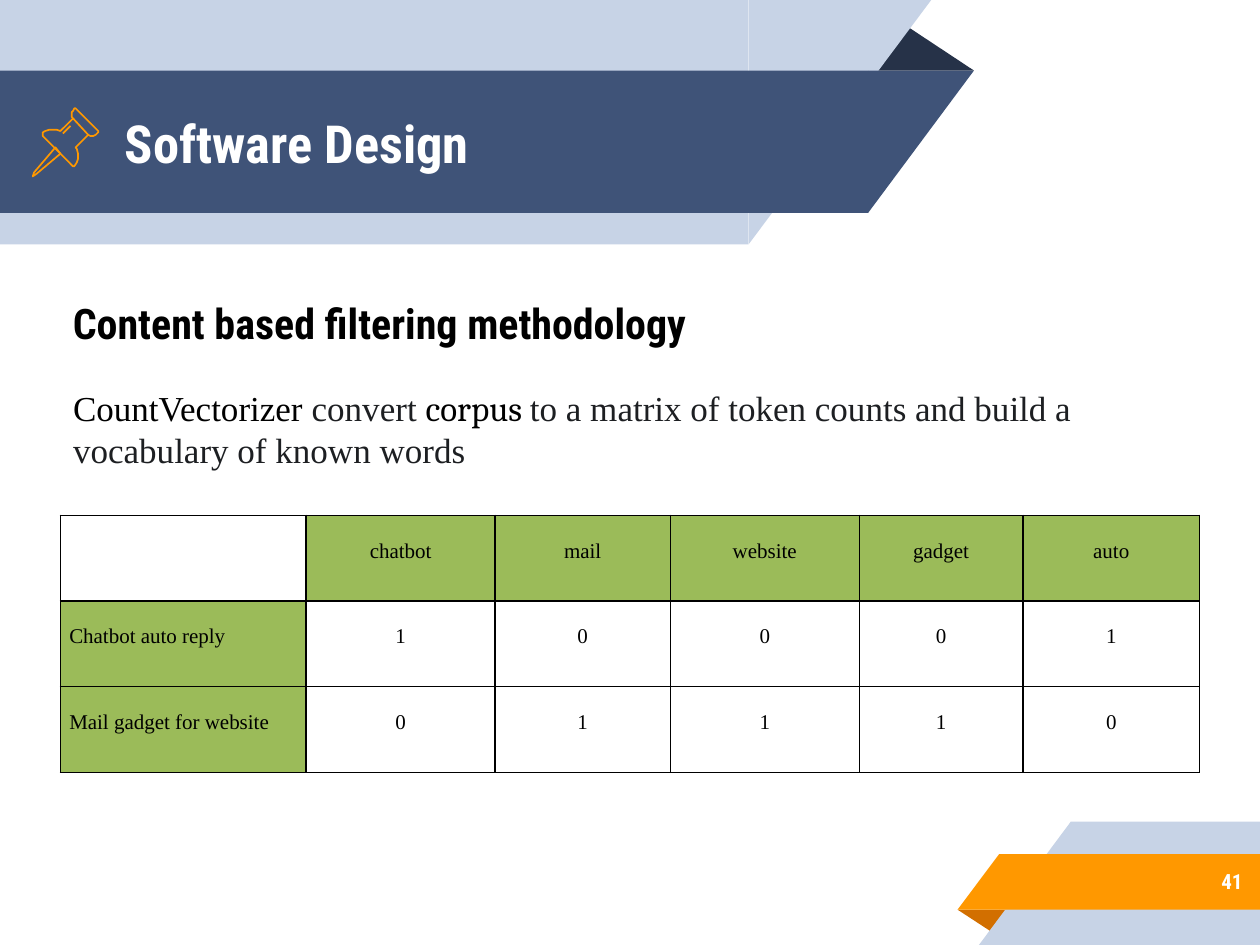
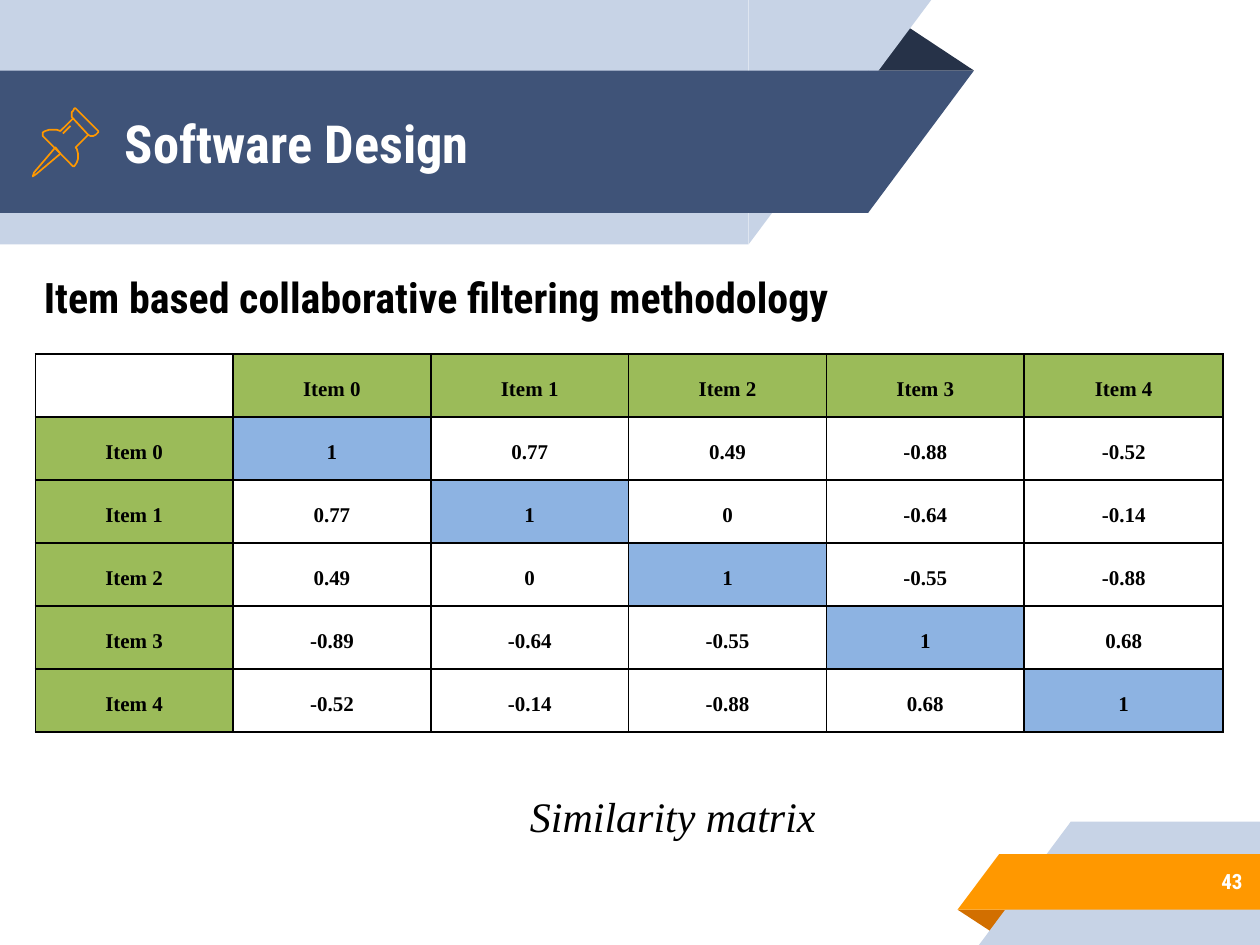
"""Build two software design slides on recommendation methods."""
from dataclasses import dataclass
from typing import NamedTuple

from lxml import etree
from pptx import Presentation
from pptx import util as u
from pptx.dml.color import RGBColor
from pptx.enum import shapes, text
from pptx.oxml import ns

CENTER, LEFT, RIGHT = text.PP_ALIGN.CENTER, text.PP_ALIGN.LEFT, text.PP_ALIGN.RIGHT


@dataclass(frozen=True)
class Theme:
    white: str = "FFFFFF"
    ink: str = "000000"
    soft_ink: str = "1D1F22"
    pale: str = "C7D3E6"
    navy: str = "3F5378"
    navy_fold: str = "263248"
    orange: str = "FF9800"
    orange_fold: str = "D26F00"
    green: str = "9BBB59"
    blue: str = "8DB3E2"
    heading_font: str = "Roboto Condensed"
    body_font: str = "Times New Roman"
    accent_font: str = "Cambria"
    title_size: int = 30
    heading_size: int = 24
    body_size: int = 20
    small_size: int = 12
    pin_line: float = 0.96
    border: float = 1


THEME = Theme()


class Box(NamedTuple):
    left: float
    top: float
    width: float
    height: float

    def emu(self) -> list:
        return [u.Inches(value) for value in self]


class Style(NamedTuple):
    size: int
    font: str
    color: str = THEME.ink
    bold: bool = False
    italic: bool = False
    align: text.PP_ALIGN = LEFT
    spacing: float = 1.0


class Piece(NamedTuple):
    kind: str
    box: Box
    color: str
    turned: bool = False
    flipped: bool = False


class Stroke(NamedTuple):
    points: tuple
    closed: bool = False


class Grid(NamedTuple):
    left: float
    top: float
    widths: tuple
    row_height: float
    rows: list
    style: Style
    label_align: text.PP_ALIGN
    diagonal: bool = False


TITLE = Style(THEME.title_size, THEME.heading_font, THEME.white, bold=True)
HEADING = Style(THEME.heading_size, THEME.heading_font, bold=True, spacing=1.58)
PAGE = Style(THEME.small_size, THEME.heading_font, THEME.white, bold=True, align=RIGHT)
CAPTION = Style(THEME.heading_size, THEME.body_font, italic=True, align=CENTER, spacing=1.5)
COUNTS = Style(THEME.small_size, THEME.body_font, align=CENTER, spacing=1.5)
SCORES = COUNTS._replace(bold=True)

KINDS = {
    "fold": shapes.MSO_SHAPE.ISOSCELES_TRIANGLE,
    "bar": shapes.MSO_SHAPE.RECTANGLE,
    "slant": shapes.MSO_SHAPE.RIGHT_TRIANGLE,
}
RIBBONS = (
    Piece("fold", Box(6.88, 0.18, 0.85, 0.38), THEME.navy_fold),
    Piece("bar", Box(0, 0, 5.94, 1.94), THEME.pale, True, True),
    Piece("slant", Box(5.94, 0, 1.45, 1.94), THEME.pale, True, True),
    Piece("bar", Box(0, 0.56, 6.89, 1.13), THEME.navy, True, True),
    Piece("slant", Box(6.89, 0.56, 0.84, 1.13), THEME.navy, True, True),
    Piece("fold", Box(7.6, 7.22, 0.43, 0.19), THEME.orange_fold, turned=True),
    Piece("bar", Box(8.5, 6.52, 1.5, 0.98), THEME.pale, flipped=True),
    Piece("slant", Box(7.77, 6.52, 0.73, 0.98), THEME.pale, flipped=True),
    Piece("bar", Box(7.93, 6.78, 2.08, 0.44), THEME.orange, flipped=True),
    Piece("slant", Box(7.6, 6.78, 0.33, 0.44), THEME.orange, flipped=True),
)
PIN = (
    Stroke(((0.44, 1.17), (0.27, 1.37), (0.26, 1.4), (0.29, 1.38), (0.48, 1.22)), True),
    Stroke(((0.58, 0.94), (0.7, 1.07), (0.72, 1.08), (0.74, 1.08), (0.76, 1.07),
            (0.78, 1.05), (0.78, 1.04), (0.77, 1.03), (0.61, 0.87), (0.6, 0.86),
            (0.59, 0.86), (0.58, 0.88), (0.57, 0.89), (0.57, 0.93)), True),
    Stroke(((0.58, 0.94), (0.48, 1.04), (0.45, 1.03), (0.39, 1.03), (0.36, 1.04),
            (0.34, 1.05), (0.34, 1.08), (0.57, 1.31), (0.58, 1.32), (0.59, 1.32),
            (0.61, 1.29), (0.62, 1.26), (0.62, 1.22), (0.61, 1.18), (0.6, 1.17),
            (0.7, 1.07))),
    Stroke(((0.5, 1.06), (0.56, 1))),
)

ITEMS = [f"Item {number}" for number in range(5)]
SIMILARITIES = [
    ["1", "0.77", "0.49", "-0.88", "-0.52"],
    ["0.77", "1", "0", "-0.64", "-0.14"],
    ["0.49", "0", "1", "-0.55", "-0.88"],
    ["-0.89", "-0.64", "-0.55", "1", "0.68"],
    ["-0.52", "-0.14", "-0.88", "0.68", "1"],
]
TOKEN_COUNTS = Grid(0.48, 4.09, (1.95, 1.5, 1.39, 1.5, 1.3, 1.4), 0.68, [
    ["", "chatbot", "mail", "website", "gadget", "auto"],
    ["Chatbot auto reply", "1", "0", "0", "0", "1"],
    ["Mail gadget for website", "0", "1", "1", "1", "0"],
], COUNTS, LEFT)
SIMILARITY_MATRIX = Grid(
    0.28, 2.81, (1.57,) * 5 + (1.58,), 0.5,
    [["", *ITEMS]] + [[item, *scores] for item, scores in zip(ITEMS, SIMILARITIES)],
    SCORES, CENTER, diagonal=True)
VECTORIZER = (
    ("CountVectorizer ", THEME.body_font, THEME.ink),
    ("convert ", THEME.body_font, THEME.soft_ink),
    ("corpus ", THEME.accent_font, THEME.ink),
    ("to a matrix of token counts and build a vocabulary of known words",
     THEME.body_font, THEME.soft_ink),
)


def rgb(color: str) -> RGBColor:
    return RGBColor.from_string(color)


def style_paragraph(paragraph, style: Style) -> None:
    paragraph.alignment = style.align
    paragraph.line_spacing = style.spacing
    font = paragraph.font
    font.size, font.name = u.Pt(style.size), style.font
    font.bold, font.italic = style.bold, style.italic
    font.color.rgb = rgb(style.color)


def prepare_frame(holder, anchor=text.MSO_ANCHOR.MIDDLE):
    frame = holder.text_frame
    frame.word_wrap = True
    frame.auto_size = text.MSO_AUTO_SIZE.NONE
    frame.vertical_anchor = anchor
    frame.margin_left = frame.margin_right = u.Inches(0.1)
    frame.margin_top = frame.margin_bottom = u.Inches(0.1)
    return frame


def place(slide, placeholder, box: Box) -> None:
    placeholder.left, placeholder.top, placeholder.width, placeholder.height = box.emu()
    slide.shapes._spTree.append(placeholder._element)


def add_text(slide, box: Box, words: str, style: Style) -> None:
    frame = prepare_frame(slide.shapes.add_textbox(*box.emu()))
    frame.text = words
    style_paragraph(frame.paragraphs[0], style)


def add_ribbon(slide, piece: Piece) -> None:
    ribbon = slide.shapes.add_shape(KINDS[piece.kind], *piece.box.emu())
    ribbon.shadow.inherit = False
    ribbon.fill.solid()
    ribbon.fill.fore_color.rgb = rgb(piece.color)
    ribbon.line.fill.background()
    if piece.kind == "fold":
        ribbon.adjustments[0] = 0.324
    if piece.turned:
        ribbon.rotation = 180
    if piece.flipped:
        ribbon._element.spPr.find(ns.qn("a:xfrm")).set("flipH", "1")


def add_pin_stroke(slide, stroke: Stroke) -> None:
    start, *rest = [(u.Inches(x), u.Inches(y)) for x, y in stroke.points]
    builder = slide.shapes.build_freeform(*start)
    builder.add_line_segments(rest, close=stroke.closed)
    outline = builder.convert_to_shape()
    outline.shadow.inherit = False
    outline.fill.background()
    outline.line.color.rgb = rgb(THEME.orange)
    outline.line.width = u.Pt(THEME.pin_line)


def add_borders(cell) -> None:
    properties = cell._tc.get_or_add_tcPr()
    for position, side in enumerate(("lnL", "lnR", "lnT", "lnB")):
        edge = etree.Element(ns.qn(f"a:{side}"), w=str(u.Pt(THEME.border)))
        fill = etree.SubElement(edge, ns.qn("a:solidFill"))
        etree.SubElement(fill, ns.qn("a:srgbClr"), val=THEME.ink)
        properties.insert(position, edge)


def add_grid(slide, grid: Grid) -> None:
    box = Box(grid.left, grid.top, sum(grid.widths), grid.row_height * len(grid.rows))
    table = slide.shapes.add_table(len(grid.rows), len(grid.widths), *box.emu()).table
    table.first_row = table.horz_banding = False
    for column, width in zip(table.columns, grid.widths):
        column.width = u.Inches(width)
    for r, row in enumerate(grid.rows):
        for c, words in enumerate(row):
            cell = table.cell(r, c)
            is_label = (r == 0) != (c == 0)
            on_diagonal = grid.diagonal and r == c > 0
            if is_label or on_diagonal:
                cell.fill.solid()
                cell.fill.fore_color.rgb = rgb(THEME.green if is_label else THEME.blue)
            else:
                cell.fill.background()
            add_borders(cell)
            if not words:
                continue
            cell.margin_left = cell.margin_right = u.Inches(0.07)
            cell.margin_top = cell.margin_bottom = u.Inches(0.1)
            cell.text = words
            align = grid.label_align if c == 0 else CENTER
            style_paragraph(cell.text_frame.paragraphs[0], grid.style._replace(align=align))


def add_description(slide, box: Box) -> None:
    body = slide.placeholders[1]
    place(slide, body, box)
    paragraph = prepare_frame(body, text.MSO_ANCHOR.TOP).paragraphs[0]
    properties = paragraph._p.get_or_add_pPr()
    properties.set("marL", "0")
    properties.set("indent", "0")
    etree.SubElement(properties, ns.qn("a:buNone"))
    paragraph.space_before, paragraph.space_after = u.Pt(0), u.Pt(10)
    paragraph.font.size = u.Pt(THEME.body_size)
    for words, font, color in VECTORIZER:
        run = paragraph.add_run()
        run.text = words
        run.font.name = font
        run.font.color.rgb = rgb(color)


def add_design_slide(deck, layout: int, page: str, heading: str, heading_box: Box):
    slide = deck.slides.add_slide(deck.slide_layouts[layout])
    for piece in RIBBONS:
        add_ribbon(slide, piece)
    add_text(slide, Box(8.33, 6.76, 1.63, 0.46), page, PAGE)
    for stroke in PIN:
        add_pin_stroke(slide, stroke)
    title = slide.shapes.title
    place(slide, title, Box(0.89, 0.57, 6.4, 1.12))
    frame = prepare_frame(title)
    frame.text = "Software Design"
    style_paragraph(frame.paragraphs[0], TITLE)
    add_text(slide, heading_box, heading, HEADING)
    return slide


def main() -> None:
    deck = Presentation()
    deck.slide_width, deck.slide_height = u.Inches(10), u.Inches(7.5)

    content = add_design_slide(deck, 1, "41", "Content based filtering methodology",
                               Box(0.48, 1.69, 7.54, 1.51))
    add_grid(content, TOKEN_COUNTS)
    add_description(content, Box(0.48, 2.97, 9.04, 1.03))

    collaborative = add_design_slide(
        deck, 5, "43", "Item based collaborative filtering methodology",
        Box(0.25, 0.79, 6.98, 2.89))
    add_grid(collaborative, SIMILARITY_MATRIX)
    add_text(collaborative, Box(3.7, 4.73, 3.28, 3.28), "Similarity matrix", CAPTION)

    deck.save("out.pptx")


if __name__ == "__main__":
    main()
